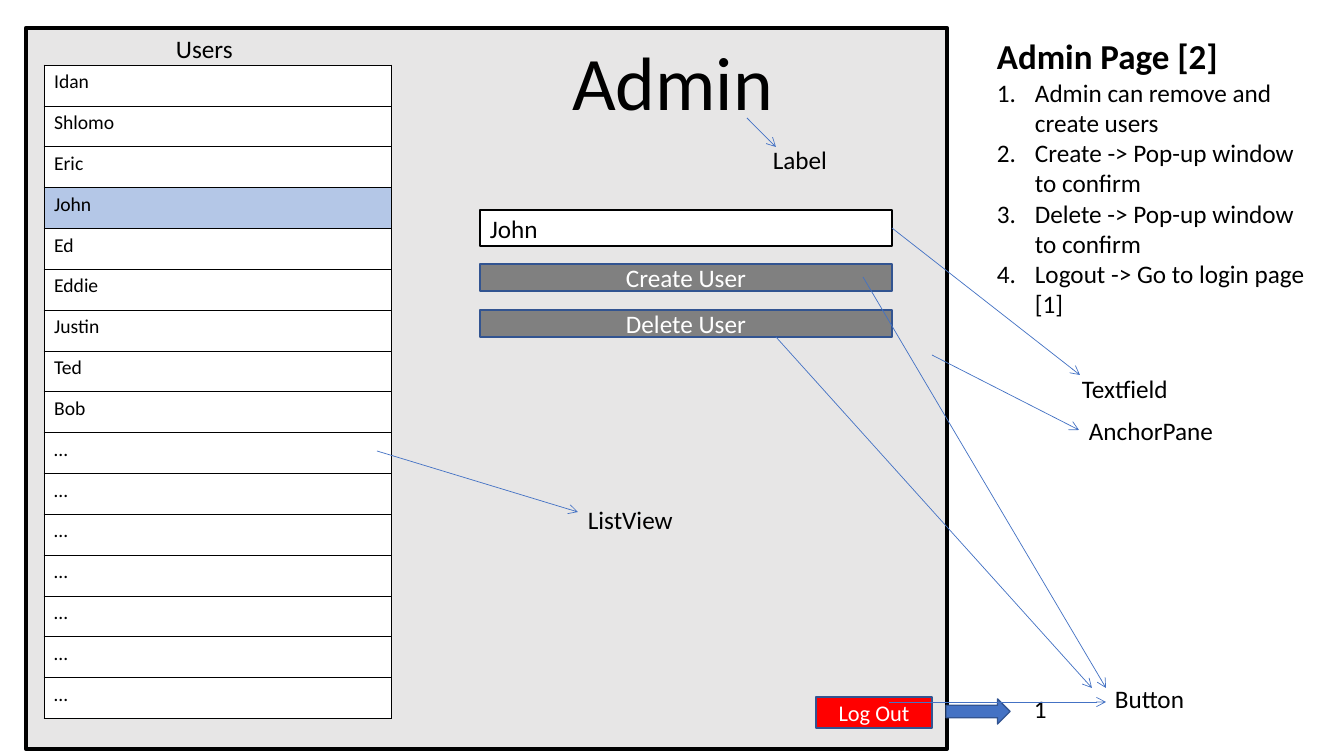
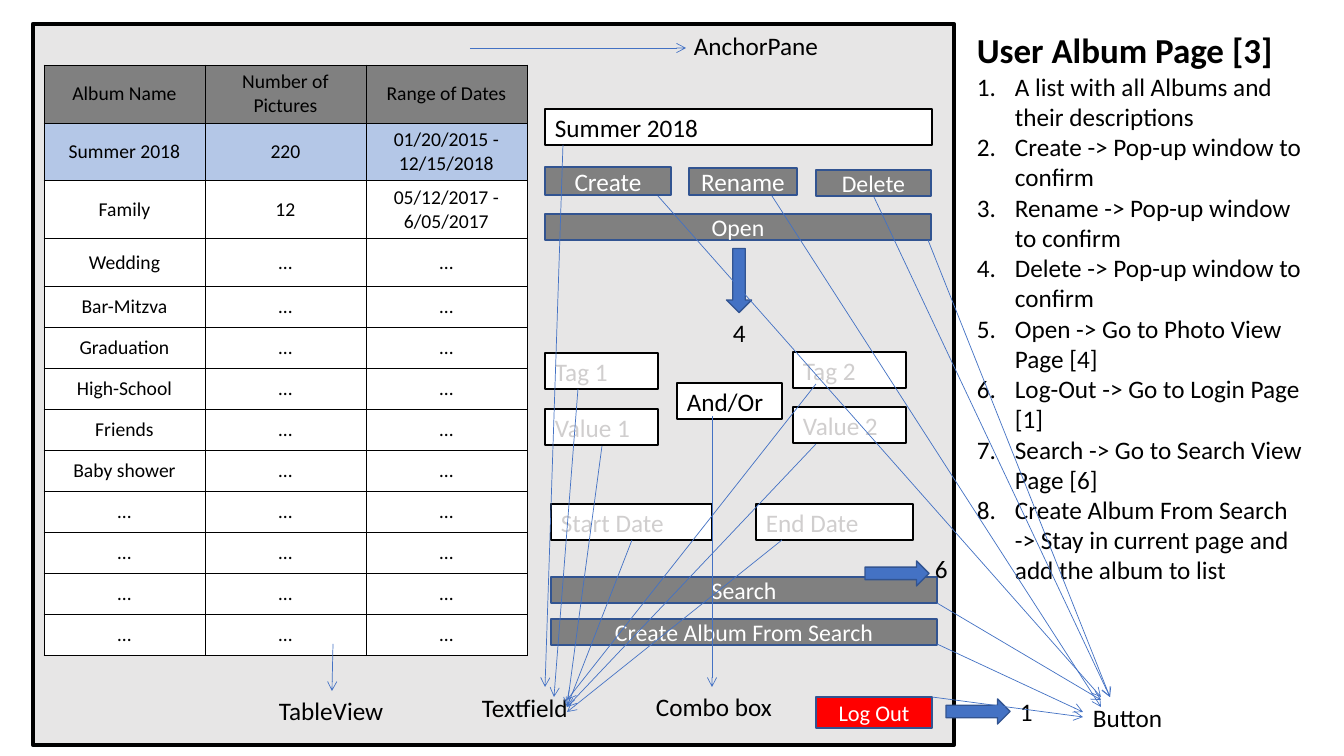
import dataclasses

import lxml.etree
import pptx
import pptx.dml.color
import pptx.enum.shapes
import pptx.enum.text
import pptx.oxml.ns
import pptx.util

SCALE = 914400 / 100.8
ALIGN = pptx.enum.text.PP_ALIGN
ANCHOR = pptx.enum.text.MSO_ANCHOR
SHAPE = pptx.enum.shapes.MSO_SHAPE
qn = pptx.oxml.ns.qn


@dataclasses.dataclass(frozen=True)
class Theme:
    font: str = "Calibri"
    black: str = "000000"
    white: str = "FFFFFF"
    pane: str = "E7E6E6"
    gray: str = "808080"
    hint: str = "D0CECE"
    red: str = "FF0000"
    blue: str = "4472C4"
    outline: str = "325491"
    selected: str = "B4C7E7"
    title_size: int = 54
    heading_size: int = 25
    body_size: int = 18
    wide_button_size: int = 17
    log_out_size: int = 16
    table_size: int = 14
    frame_line: float = 3
    shape_line: float = 1
    thin_line: float = 0.5


THEME = Theme()


def px(value):
    return pptx.util.Emu(round(value * SCALE))


def rgb(color):
    return pptx.dml.color.RGBColor.from_string(color)


class Wireframe:
    def __init__(self, presentation):
        self.presentation = presentation
        self.slide = None

    def new_slide(self):
        self.slide = self.presentation.slides.add_slide(self.presentation.slide_layouts[6])

    def style(self, paragraph, size, color=THEME.black, align=ALIGN.LEFT, bold=False):
        paragraph.alignment = align
        paragraph.font.name = THEME.font
        paragraph.font.size = pptx.util.Pt(size)
        paragraph.font.color.rgb = rgb(color)
        paragraph.font.bold = bold

    def shape(self, kind, left, top, width, height, fill, line, line_width=THEME.shape_line):
        shape = self.slide.shapes.add_shape(kind, px(left), px(top), px(width), px(height))
        shape.shadow.inherit = False
        shape.fill.solid()
        shape.fill.fore_color.rgb = rgb(fill)
        shape.line.color.rgb = rgb(line)
        shape.line.width = pptx.util.Pt(line_width)
        return shape

    def frame(self, left, top, caption=None, indent=0):
        shape = self.shape(SHAPE.RECTANGLE, left, top, 921, 721,
                           THEME.pane, THEME.black, THEME.frame_line)
        if caption:
            shape.text_frame.vertical_anchor = ANCHOR.TOP
            paragraph = shape.text_frame.paragraphs[0]
            paragraph.text = caption
            paragraph._p.get_or_add_pPr().set("marL", str(px(indent)))
            self.style(paragraph, THEME.body_size)

    def button(self, text, left, top, width, height, size=THEME.body_size, fill=THEME.gray):
        shape = self.shape(SHAPE.RECTANGLE, left, top, width, height, fill, THEME.outline)
        shape.text_frame.text = text
        self.style(shape.text_frame.paragraphs[0], size, THEME.white, ALIGN.CENTER)

    def field(self, text, left, top, width, color=THEME.black):
        shape = self.shape(SHAPE.RECTANGLE, left, top, width, 36, THEME.white, THEME.black)
        shape.text_frame.text = text
        self.style(shape.text_frame.paragraphs[0], THEME.body_size, color)

    def block_arrow(self, left, top, rotation=0):
        shape = self.shape(SHAPE.RIGHT_ARROW, left, top, 64, 25, THEME.blue, THEME.outline)
        shape.rotation = rotation

    def text_box(self, left, top, width, height):
        box = self.slide.shapes.add_textbox(px(left), px(top), px(width), px(height))
        box.text_frame.word_wrap = True
        box.text_frame.auto_size = pptx.enum.text.MSO_AUTO_SIZE.SHAPE_TO_FIT_TEXT
        return box.text_frame

    def label(self, text, left, top, width=147, height=40, size=THEME.body_size, align=ALIGN.LEFT):
        frame = self.text_box(left, top, width, height)
        frame.text = text
        self.style(frame.paragraphs[0], size, align=align)

    def guide(self, heading, items, left, top, width, height):
        frame = self.text_box(left, top, width, height)
        frame.text = heading
        self.style(frame.paragraphs[0], THEME.heading_size, bold=True)
        for item in items:
            paragraph = frame.add_paragraph()
            paragraph.text = item
            self.style(paragraph, THEME.body_size)
            properties = paragraph._p.get_or_add_pPr()
            properties.set("marL", str(px(38)))
            properties.set("indent", str(-px(38)))
            number = lxml.etree.Element(qn("a:buAutoNum"), type="arabicPeriod")
            properties.insert(0, number)

    def pointers(self, *lines):
        for start_x, start_y, end_x, end_y in lines:
            connector = self.slide.shapes.add_connector(
                pptx.enum.shapes.MSO_CONNECTOR.STRAIGHT,
                px(start_x), px(start_y), px(end_x), px(end_y))
            connector.line.color.rgb = rgb(THEME.blue)
            connector.line.width = pptx.util.Pt(THEME.thin_line)
            properties = connector._element.spPr
            lxml.etree.SubElement(properties.find(qn("a:ln")), qn("a:tailEnd"), type="arrow")
            lxml.etree.SubElement(properties, qn("a:effectLst"))

    def border(self, cell):
        properties = cell._tc.get_or_add_tcPr()
        for side in ("lnL", "lnR", "lnT", "lnB"):
            line = lxml.etree.SubElement(properties, qn(f"a:{side}"),
                                         w=str(pptx.util.Pt(THEME.thin_line)))
            solid = lxml.etree.SubElement(line, qn("a:solidFill"))
            lxml.etree.SubElement(solid, qn("a:srgbClr"), val=THEME.black)

    def table(self, rows, left, top, width, heights, fills, align, anchor):
        columns = len(rows[0])
        table = self.slide.shapes.add_table(
            len(rows), columns, px(left), px(top), px(width), px(sum(heights))).table
        table.first_row = False
        table.horz_banding = False
        for column in table.columns:
            column.width = px(width / columns)
        for index, values in enumerate(rows):
            table.rows[index].height = px(heights[index])
            for column, value in enumerate(values):
                cell = table.cell(index, column)
                self.border(cell)
                cell.fill.solid()
                cell.fill.fore_color.rgb = rgb(fills.get(index, THEME.white))
                cell.vertical_anchor = anchor
                cell.text = value
                self.style(cell.text_frame.paragraphs[0], THEME.table_size, align=align)

    def log_out(self, page_left, page_top):
        self.button("Log Out", 816, 697, 116, 31, THEME.log_out_size, THEME.red)
        self.block_arrow(946, 699)
        self.label("1", page_left, page_top, 50)


def build_admin(page):
    page.new_slide()
    page.frame(26, 28, "Users", 140)
    names = ["Idan", "Shlomo", "Eric", "John", "Ed", "Eddie", "Justin", "Ted", "Bob"] + ["…"] * 7
    page.table([[name] for name in names], 44, 65, 347, [654 / len(names)] * len(names),
               {names.index("John"): THEME.selected}, ALIGN.LEFT, ANCHOR.TOP)
    page.field("John", 480, 210, 412)
    for text, top in (("Create User", 264), ("Delete User", 310)):
        page.button(text, 480, top, 412, 27)
    page.label("Admin", 437, 30, 471, 102, THEME.title_size, ALIGN.CENTER)
    page.guide("Admin Page [2]", [
        "Admin can remove and create users",
        "Create -> Pop-up window to confirm",
        "Delete -> Pop-up window to confirm",
        "Logout -> Go to login page [1]",
    ], 987, 30, 336, 297)
    page.log_out(1024, 688)
    for text, left, top in (("AnchorPane", 1079, 410), ("Button", 1105, 678),
                            ("Textfield", 1072, 368), ("Label", 763, 139),
                            ("ListView", 578, 499)):
        page.label(text, left, top)
    page.pointers(
        (889, 702, 1106, 702), (863, 277, 1106, 688), (776, 337, 1092, 688),
        (932, 355, 1079, 430), (892, 228, 1080, 375), (747, 118, 776, 147),
        (377, 451, 578, 512))


def build_user_album(page):
    page.new_slide()
    page.frame(33, 24)
    albums = ["Wedding", "Bar-Mitzva", "Graduation", "High-School", "Friends", "Baby shower"]
    rows = [
        ["Album Name", "Number of Pictures", "Range of Dates"],
        ["Summer 2018", "220", "01/20/2015 - 12/15/2018"],
        ["Family", "12", "05/12/2017 - 6/05/2017"],
    ] + [[album, "…", "…"] for album in albums + ["…"] * 4]
    page.table(rows, 44, 65, 483, [41, 45, 50, 48] + [41] * 9,
               {0: THEME.gray, 1: THEME.selected}, ALIGN.CENTER, ANCHOR.MIDDLE)

    page.button("Create", 545, 167, 126, 28)
    page.button("Rename", 689, 168, 108, 27)
    page.button("Delete", 816, 170, 115, 26, THEME.wide_button_size)
    for text, left, top in (("Open", 545, 214), ("Create Album From Search", 551, 619),
                            ("Search", 551, 577)):
        page.button(text, left, top, 386, 26, THEME.wide_button_size)
    page.field("Summer 2018", 545, 109, 387)
    page.guide("User Album Page [3]", [
        "A list with all Albums and their descriptions",
        "Create -> Pop-up window to confirm",
        "Rename -> Pop-up window to confirm",
        "Delete -> Pop-up window to confirm",
        "Open -> Go to Photo View Page [4]",
        "Log-Out -> Go to Login Page [1]",
        "Search -> Go to Search View Page [6]",
        "Create Album From Search -> Stay in current page and add the album to list",
    ], 967, 24, 351, 572)
    page.log_out(1010, 691)
    page.label("4", 723, 312, 33)
    page.block_arrow(707, 268, 90)
    for text, left, top, width in (("Tag 1", 545, 353, 113), ("Tag 2", 793, 352, 113),
                                   ("Value 1", 545, 409, 113), ("Value 2", 793, 407, 113),
                                   ("Start Date", 551, 504, 161), ("End Date", 756, 504, 157)):
        page.field(text, left, top, width, THEME.hint)
    page.field("And/Or", 677, 383, 105)
    page.label("6", 925, 548, 41)
    page.block_arrow(865, 561)
    for text, left, top in (("Button", 1083, 697), ("Textfield", 472, 687),
                            ("Combo box", 646, 686), ("TableView", 269, 690),
                            ("AnchorPane", 684, 25)):
        page.label(text, left, top)
    page.pointers(
        (937, 644, 1083, 712), (937, 603, 1101, 700), (932, 697, 1083, 717),
        (928, 240, 1110, 697), (874, 197, 1110, 697), (772, 196, 1101, 707),
        (658, 196, 1101, 697), (563, 145, 545, 687), (578, 389, 554, 697),
        (602, 446, 567, 707), (632, 540, 567, 707), (816, 384, 567, 700),
        (816, 444, 567, 707), (782, 540, 567, 712), (712, 416, 712, 687),
        (333, 644, 332, 691), (470, 48, 686, 48))


presentation = pptx.Presentation()
presentation.slide_width = px(1344)
presentation.slide_height = px(756)
wireframe = Wireframe(presentation)
build_admin(wireframe)
build_user_album(wireframe)
presentation.save("out.pptx")
